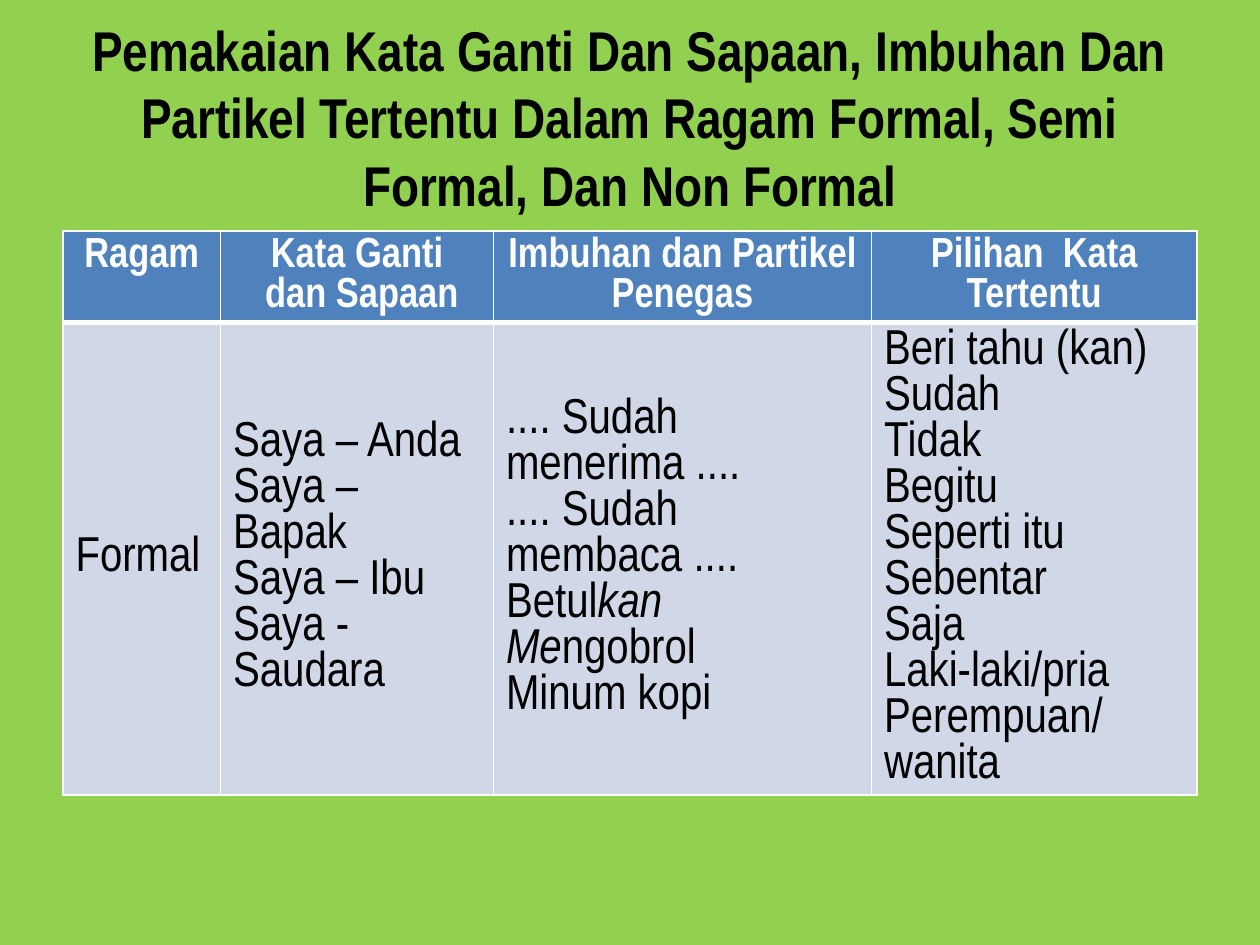
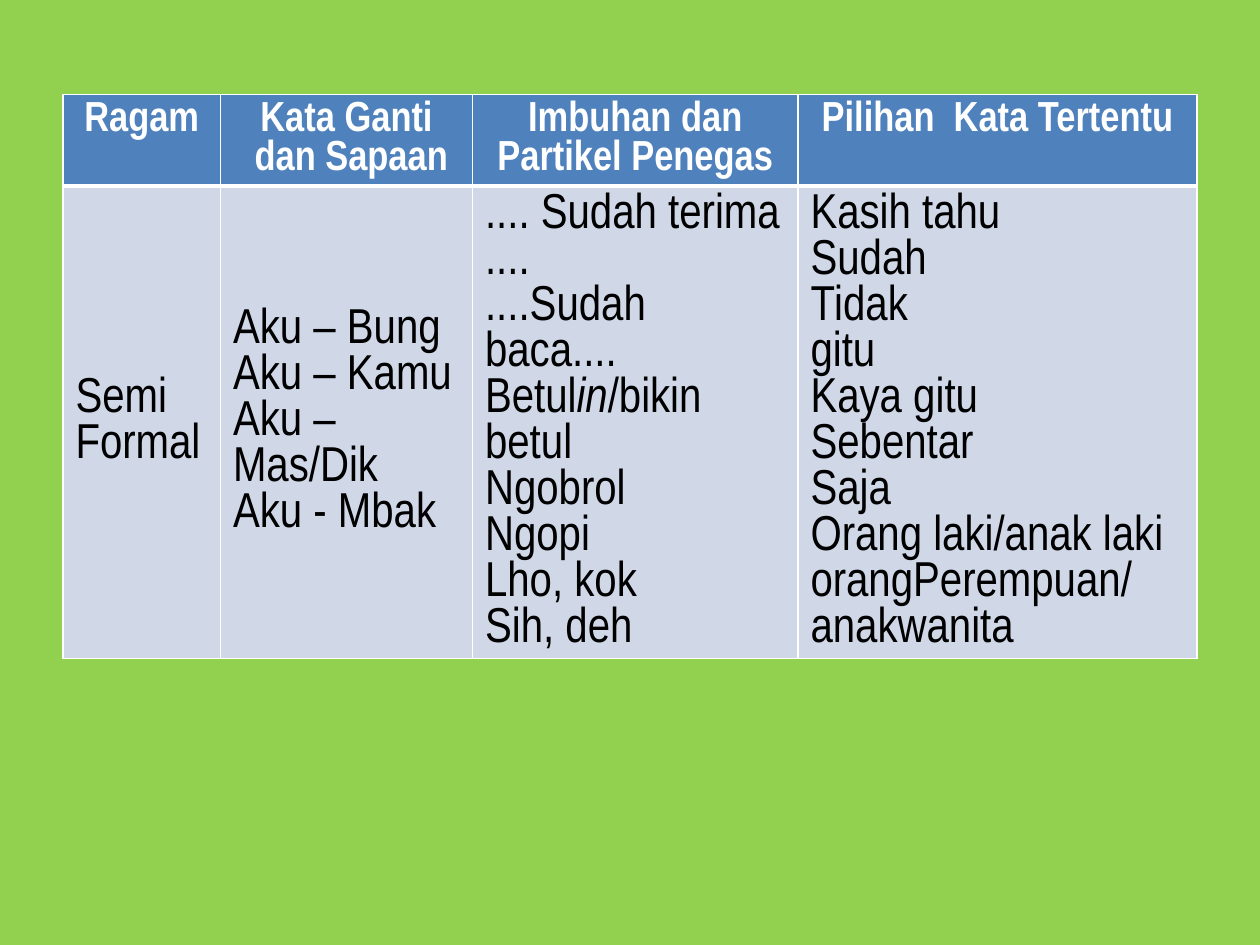
from lxml import etree
from pptx import Presentation
from pptx.dml.color import RGBColor
from pptx.enum import text
from pptx.oxml import ns
from pptx.util import Pt

GREEN = RGBColor(0x92, 0xD0, 0x50)
BLUE = RGBColor(0x4F, 0x81, 0xBD)
PALE = RGBColor(0xD0, 0xD8, 0xE8)
WHITE = RGBColor(0xFF, 0xFF, 0xFF)
BLACK = RGBColor(0, 0, 0)
FACE = "Arial Narrow"

# A cell is a list of lines; a line is a string or a list of (text, italic) runs.
HEADS = [
    ["Ragam"],
    ["Kata Ganti", " dan Sapaan"],
    ["Imbuhan dan Partikel Penegas"],
    ["Pilihan  Kata Tertentu"],
]
SLIDES = [
    {
        "title": "Pemakaian Kata Ganti Dan Sapaan, Imbuhan Dan Partikel Tertentu "
                 "Dalam Ragam Formal, Semi Formal, Dan Non Formal",
        "top": 132,
        "cols": [90, 156, 216, 186],
        "cells": [
            ["Formal"],
            ["Saya – Anda", "Saya – Bapak", "Saya – Ibu", "Saya - Saudara"],
            [".... Sudah menerima ....", ".... Sudah membaca ....",
             [("Betul", False), ("kan", True)],
             [("Me", True), ("ngobrol", False)],
             "Minum kopi"],
            ["Beri tahu (kan)", "Sudah", "Tidak", "Begitu", "Seperti itu",
             "Sebentar", "Saja", "Laki-laki/pria", "Perempuan/wanita"],
        ],
    },
    {
        "title": None,
        "top": 54,
        "cols": [90, 144, 186, 228],
        "cells": [
            ["Semi", "Formal"],
            ["Aku – Bung", "Aku – Kamu", "Aku – Mas/Dik", "Aku - Mbak"],
            [".... Sudah terima ....", "....Sudah baca....",
             [("Betul", False), ("in", True), ("/bikin betul", False)],
             "Ngobrol", "Ngopi", "Lho, kok", "Sih, deh"],
            ["Kasih tahu", "Sudah", "Tidak", "gitu", "Kaya gitu", "Sebentar",
             "Saja", "Orang laki/anak laki", "orangPerempuan/anakwanita"],
        ],
    },
]
LEFT, WIDTH = 36, 648
ROWS = [52, 270]
RULE = 3  # line between the heading row and the body


def add_run(par, words, size, color, bold, italic=False):
    run = par.add_run()
    run.text = words
    font = run.font
    font.name, font.size, font.bold, font.italic = FACE, Pt(size), bold, italic
    font.color.rgb = color


def add_rule(cell, side):
    """Draw the thick white line on one side, "a:lnT" or "a:lnB"."""
    line = etree.Element(ns.qn(side), w=str(Pt(RULE)))
    fill = etree.SubElement(line, ns.qn("a:solidFill"))
    etree.SubElement(fill, ns.qn("a:srgbClr"), val=str(WHITE))
    cell._tc.get_or_add_tcPr().insert(0, line)


def fill_cell(cell, lines, head):
    cell.fill.solid()
    cell.fill.fore_color.rgb = BLUE if head else PALE
    add_rule(cell, "a:lnB" if head else "a:lnT")
    cell.vertical_anchor = text.MSO_ANCHOR.TOP if head else text.MSO_ANCHOR.MIDDLE
    frame = cell.text_frame
    for i, line in enumerate(lines):
        par = frame.add_paragraph() if i else frame.paragraphs[0]
        par.alignment = text.PP_ALIGN.CENTER if head else text.PP_ALIGN.LEFT
        runs = [(line, False)] if isinstance(line, str) else line
        for words, italic in runs:
            add_run(par, words, 24 if head else 28, WHITE if head else BLACK, head, italic)


def add_title(slide, words):
    title = slide.shapes.title
    title.left, title.top = Pt(LEFT), Pt(21.6)
    title.width, title.height = Pt(WIDTH), Pt(90)
    frame = title.text_frame
    frame.auto_size = text.MSO_AUTO_SIZE.NONE
    frame.vertical_anchor = text.MSO_ANCHOR.MIDDLE
    par = frame.paragraphs[0]
    par.alignment = text.PP_ALIGN.CENTER
    add_run(par, words, 32, BLACK, True)


def add_grid(slide, top, cols, cells):
    grid = slide.shapes.add_table(
        len(ROWS), len(cols), Pt(LEFT), Pt(top), Pt(WIDTH), Pt(sum(ROWS))).table
    for col, width in zip(grid.columns, cols):
        col.width = Pt(width)
    for row, height in zip(grid.rows, ROWS):
        row.height = Pt(height)
    for r, row in enumerate([HEADS, cells]):
        for c, lines in enumerate(row):
            fill_cell(grid.cell(r, c), lines, head=r == 0)


def main():
    deck = Presentation()
    deck.slide_width, deck.slide_height = Pt(720), Pt(540)
    for page in SLIDES:
        name = "Title Only" if page["title"] else "Blank"
        slide = deck.slides.add_slide(deck.slide_layouts.get_by_name(name))
        back = slide.background.fill
        back.solid()
        back.fore_color.rgb = GREEN
        if page["title"]:
            add_title(slide, page["title"])
        add_grid(slide, page["top"], page["cols"], page["cells"])
    deck.save("out.pptx")


if __name__ == "__main__":
    main()
